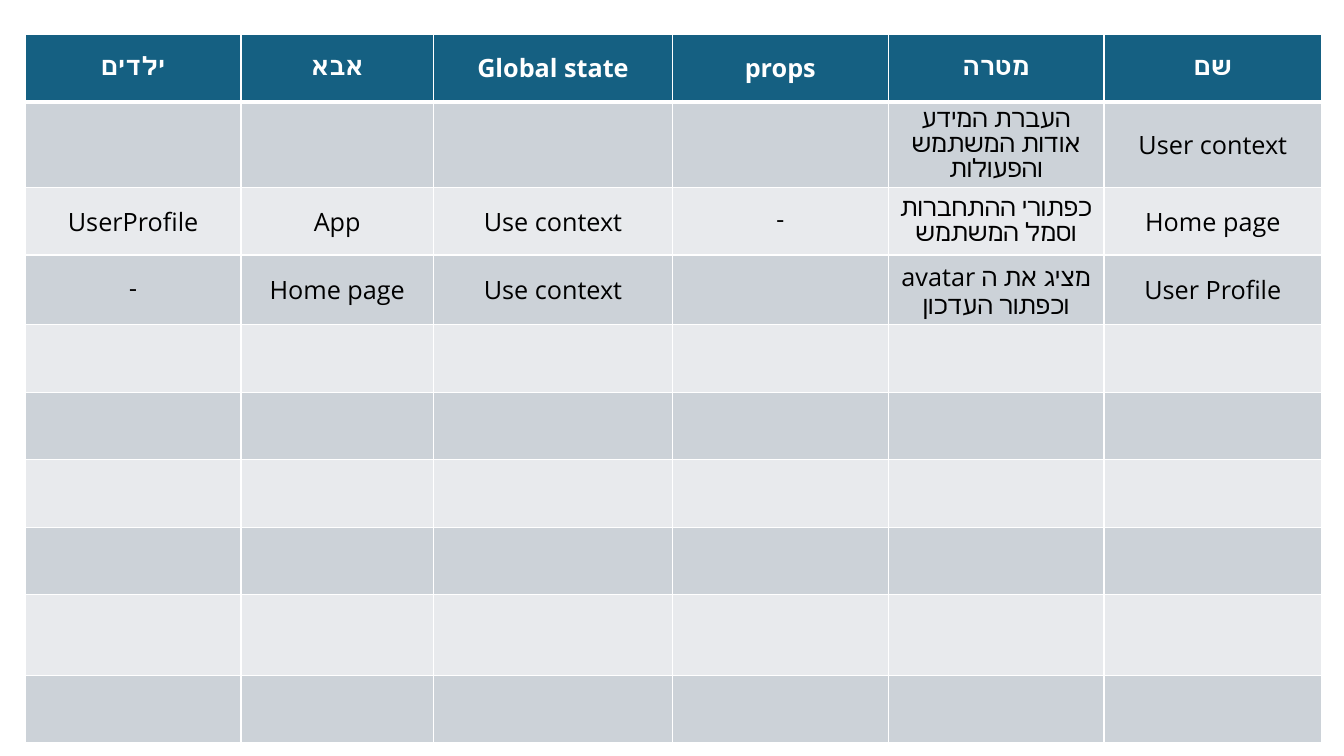
"""Build a slide with a right-to-left table of app components."""
from lxml import etree
from pptx import Presentation
from pptx.dml.color import RGBColor
from pptx.enum.text import MSO_ANCHOR, PP_ALIGN
from pptx.oxml.ns import qn
from pptx.util import Inches, Pt

MIDDLE = MSO_ANCHOR.MIDDLE
CENTER = PP_ALIGN.CENTER

ROWS = [
    ["ילדים", "אבא", "Global state", "props", "מטרה", "שם"],
    ["", "", "", "", "העברת המידע אודות המשתמש והפעולות", "User context"],
    ["UserProfile", "App", "Use context", "-",
     "כפתורי ההתחברות וסמל המשתמש", "Home page"],
    ["-", "Home page", "Use context", "",
     "מציג את ה avatar וכפתור העדכון", "User Profile"],
] + [[""] * 6 for _ in range(6)]
WIDTHS = [2.14, 1.91, 2.37, 2.14, 2.14, 2.16]
BASE = 0.67
TALL = {1: 0.85, 3: 0.69, 8: 0.8}
HEIGHTS = [TALL.get(i, BASE) for i in range(len(ROWS))]
LEFT, TOP = 0.25, 0.34
HEAD, BANDS, WHITE, BLACK = "156082", ("E8EAED", "CCD2D8"), "FFFFFF", "000000"


def color(code):
    """Turn a hex string into a color."""
    return RGBColor.from_string(code)


def border(cell, row):
    """Draw white lines round a cell, thick below the header."""
    thick = {(0, "lnB"), (1, "lnT")}
    props = cell._tc.get_or_add_tcPr()
    for spot, side in enumerate(("lnL", "lnR", "lnT", "lnB")):
        size = 3 if (row, side) in thick else 1
        line = etree.Element(qn("a:" + side), w=str(Pt(size)))
        fill = etree.SubElement(line, qn("a:solidFill"))
        etree.SubElement(fill, qn("a:srgbClr"), val=WHITE)
        props.insert(spot, line)


def write(cell, text, head):
    """Put centred right-to-left text in a cell."""
    cell.vertical_anchor = MIDDLE
    para = cell.text_frame.paragraphs[0]
    para.alignment = CENTER
    para._p.get_or_add_pPr().set("rtl", "1")
    run = para.add_run()
    run.text = text
    style = {"name": "Open Sans", "size": Pt(18), "bold": head}
    for key, value in style.items():
        setattr(run.font, key, value)
    run.font.color.rgb = color(WHITE if head else BLACK)


def main():
    """Make the slide and save it."""
    deck = Presentation()
    deck.slide_width, deck.slide_height = Inches(13.33), Inches(7.5)
    slide = deck.slides.add_slide(deck.slide_layouts[6])
    table = slide.shapes.add_table(
        len(ROWS), len(WIDTHS), Inches(LEFT), Inches(TOP),
        Inches(sum(WIDTHS)), Inches(sum(HEIGHTS))).table
    for col, width in zip(table.columns, WIDTHS):
        col.width = Inches(width)
    for i, (texts, height) in enumerate(zip(ROWS, HEIGHTS)):
        table.rows[i].height = Inches(height)
        for j, text in enumerate(texts):
            cell = table.cell(i, j)
            cell.fill.solid()
            cell.fill.fore_color.rgb = color(BANDS[i % 2] if i else HEAD)
            border(cell, i)
            if text:
                write(cell, text, i == 0)
    deck.save("out.pptx")


if __name__ == "__main__":
    main()
